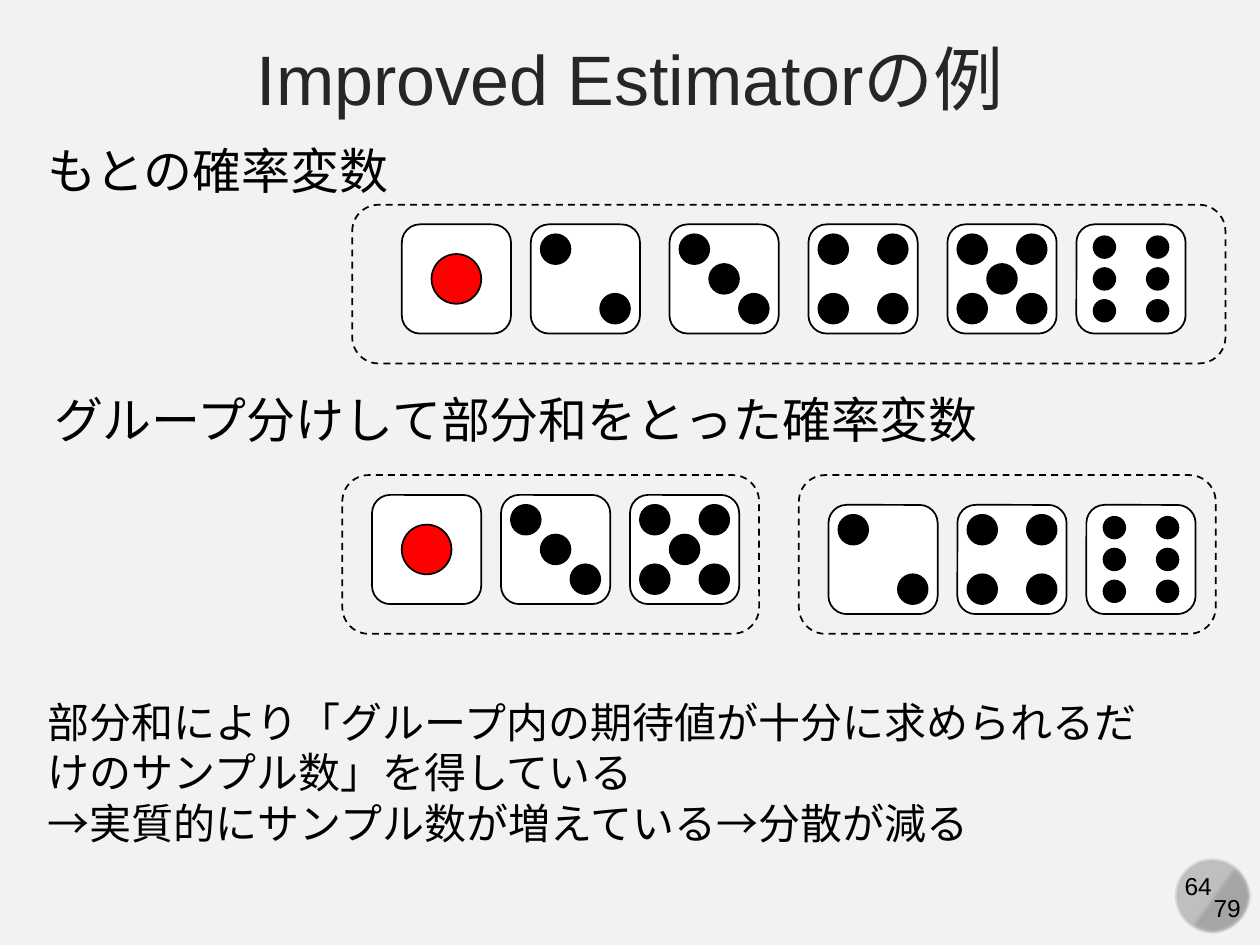
from pptx import Presentation
from pptx.dml.color import RGBColor
from pptx.enum import dml, shapes, text
from pptx.oxml.ns import qn
from pptx.util import Pt
from lxml import etree

HUES = {"back": "F2F2F2", "title": "262626", "ink": "000000", "white": "FFFFFF",
        "red": "FF0000", "disc": "BFBFBF", "rim": "D9D9D9", "chord": "A6A6A6"}

TITLE = "Improved Estimatorの例"
# left, top, width, height, size, wrap, centred, lines
TEXTS = [
    (20, 77, 212.5, 41, 28, False, False, ["もとの確率変数"]),
    (23.8, 219, 551.5, 41, 28, False, False, ["グループ分けして部分和をとった確率変数"]),
    (20, 394.5, 646.5, 94.3, 24, True, False, [
        "部分和により「グループ内の期待値が十分に求められるだけのサンプル数」を得している",
        "→実質的にサンプル数が増えている→分散が減る"]),
    (668.9, 494, 31.7, 24.5, 14, False, True, ["64"]),
    (686.2, 507, 30.2, 24.5, 14, False, True, ["79"]),
]
# frame (left, top, width, height), top of dice, {face: left}
ROWS = [
    ((201.3, 117, 499, 90.7), 128.2,
     {1: 229.6, 2: 303.3, 3: 382.6, 4: 462, 5: 541.4, 6: 615.1}),
    ((195.6, 271.5, 238.2, 90.7), 282.8, {1: 212.6, 3: 286.3, 5: 360}),
    ((456.5, 271.5, 238.2, 90.7), 288.5, {2: 473.4, 4: 547.1, 6: 620.8}),
]

DIE = 62.4
MID = [(0, 0)]
FALL = [(-17, -17), (17, 17)]
RISE = [(-17, 17), (17, -17)]
SIX = [(x, y) for x in (-15.2, 15.2) for y in (-18.2, 0, 18.2)]
# face: pip width, colour, offsets from the centre
FACES = {1: (28.4, "red", MID), 2: (17, "ink", FALL), 3: (17, "ink", FALL + MID),
         4: (17, "ink", FALL + RISE), 5: (17, "ink", FALL + RISE + MID),
         6: (12.4, "ink", SIX)}
KIND = shapes.MSO_SHAPE


def rgb(name):
    return RGBColor.from_string(HUES[name])


def draw(host, kind, box, fill=None, line="ink"):
    item = host.add_shape(kind, *map(Pt, box))
    item.shadow.inherit = False
    if fill:
        item.fill.solid()
        item.fill.fore_color.rgb = rgb(fill)
    else:
        item.fill.background()
    if line:
        item.line.color.rgb = rgb(line)
        item.line.width = Pt(1)
    else:
        item.line.fill.background()
    return item


def soften(item, rad):
    glow = item._element.spPr.find(qn("a:effectLst"))
    etree.SubElement(glow, qn("a:softEdge")).set("rad", str(Pt(rad)))


def die(host, face, left, top):
    group = host.add_group_shape().shapes
    draw(group, KIND.ROUNDED_RECTANGLE, (left, top, DIE, DIE), "white")
    size, hue, spots = FACES[face]
    edge = (DIE - size) / 2
    for x, y in spots:
        draw(group, KIND.OVAL, (left + edge + x, top + edge + y, size, size), hue)


def style(para, size, hue, centred):
    para.font.size = Pt(size)
    para.font.name = "Arial"
    para.font.color.rgb = rgb(hue)
    para.alignment = text.PP_ALIGN.CENTER if centred else text.PP_ALIGN.LEFT


def label(host, left, top, width, height, size, wrap, centred, lines):
    frame = host.add_textbox(Pt(left), Pt(top), Pt(width), Pt(height)).text_frame
    frame.word_wrap = wrap
    frame.text = "\n".join(lines)
    for para in frame.paragraphs:
        style(para, size, "ink", centred)


def main():
    deck = Presentation()
    deck.slide_width, deck.slide_height = Pt(720), Pt(540)
    slide = deck.slides.add_slide(deck.slide_layouts[5])
    slide.background.fill.solid()
    slide.background.fill.fore_color.rgb = rgb("back")
    host = slide.shapes

    title = host.title
    title.left, title.top, title.width, title.height = map(Pt, (0, 15, 720, 59))
    frame = title.text_frame
    frame.text = TITLE
    frame.vertical_anchor = text.MSO_ANCHOR.MIDDLE
    style(frame.paragraphs[0], 40, "title", True)

    disc = draw(host, KIND.OVAL, (671.8, 491, 41.8, 41.8), "disc", "rim")
    chord = draw(host, KIND.CHORD, (671, 489.6, 44.6, 44.6), "chord", None)
    chord.adjustments[0], chord.adjustments[1] = 27, 141.42
    chord.rotation = 255
    soften(chord, 2)

    for box, top, dice in ROWS:
        for face, left in dice.items():
            die(host, face, left, top)
        ring = draw(host, KIND.ROUNDED_RECTANGLE, box)
        ring.line.dash_style = dml.MSO_LINE.DASH
    for item in TEXTS:
        label(host, *item)

    deck.save("out.pptx")


if __name__ == "__main__":
    main()
